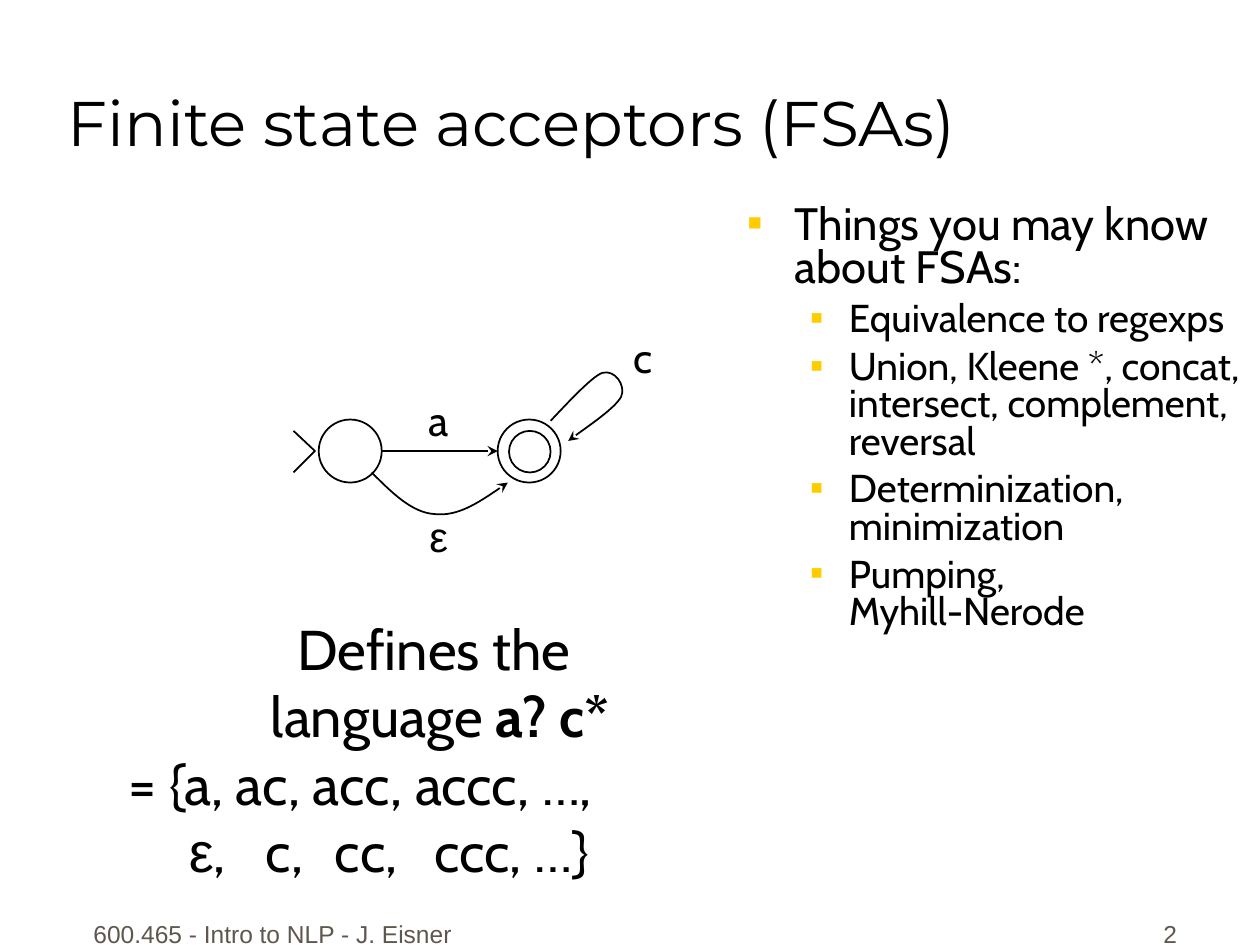
"""Builds a slide on finite state acceptors with an automaton diagram."""
import pptx
import pptx.dml.color
import pptx.enum.shapes
import pptx.enum.text
import pptx.oxml
import pptx.oxml.ns
import pptx.util

PX = 9144
BLACK, GOLD, GREY = "000000", "FFCC00", "5E574E"
ALIGN = pptx.enum.text.PP_ALIGN
ANCHOR = pptx.enum.text.MSO_ANCHOR


def color(hex_value):
    """Turn a hex string into a colour."""
    return pptx.dml.color.RGBColor.from_string(hex_value)


def add_xml(parent, tag, **attributes):
    """Append a DrawingML element with attributes to a parent."""
    child = pptx.oxml.parse_xml(f"<a:{tag} {pptx.oxml.ns.nsdecls('a')}/>")
    for name, value in attributes.items():
        child.set(name, str(value))
    parent.append(child)
    return child


class SlideBuilder:
    """Holds the style and the current slide."""

    def __init__(self, slide, font="Cabin", ink=BLACK):
        """Keep the slide, the body font and the ink colour."""
        self.shapes = slide.shapes
        self.font = font
        self.ink = ink

    def text_box(self, left, top, width, height, anchor=ANCHOR.TOP, wrap=True):
        """Add an empty text box and return its text frame."""
        box = self.shapes.add_textbox(*(v * PX for v in (left, top, width, height)))
        frame = box.text_frame
        frame.word_wrap = wrap
        frame.vertical_anchor = anchor
        return frame

    def paragraph(self, frame, align=ALIGN.LEFT, before=0, spacing=None):
        """Return the first unused paragraph of a text frame."""
        paragraph = frame.paragraphs[0]
        if paragraph.runs:
            paragraph = frame.add_paragraph()
        paragraph.alignment = align
        paragraph.space_before = pptx.util.Pt(before)
        if spacing:
            paragraph.line_spacing = spacing
        return paragraph

    def run(self, paragraph, words, size, font=None, ink=None, bold=None):
        """Add text to a paragraph, breaking lines at each newline."""
        for index, line in enumerate(words.split("\n")):
            if index:
                paragraph.add_line_break()
            run = paragraph.add_run()
            run.text = line
            run.font.size = pptx.util.Pt(size)
            run.font.name = font or self.font
            run.font.bold = bold
            run.font.color.rgb = color(ink or self.ink)

    def label(self, left, top, width, height, words, size, font=None, ink=None,
              align=ALIGN.CENTER, anchor=ANCHOR.MIDDLE, wrap=True, before=0):
        """Add a text box with a single run."""
        frame = self.text_box(left, top, width, height, anchor, wrap)
        self.run(self.paragraph(frame, align, before), words, size, font, ink)

    def bullet(self, frame, words, level, size, before, margin, hanging):
        """Add a bulleted paragraph."""
        paragraph = self.paragraph(frame, before=before, spacing=0.8)
        paragraph.level = level
        properties = paragraph._p.get_or_add_pPr()
        properties.set("marL", str(margin * PX))
        properties.set("indent", str(-hanging * PX))
        add_xml(add_xml(properties, "buClr"), "srgbClr", val=GOLD)
        add_xml(properties, "buFont", typeface="Arial")
        add_xml(properties, "buChar", char="▪")
        self.run(paragraph, words, size)

    def tab_stops(self, paragraph, stops):
        """Set left tab stops on a paragraph."""
        tabs = add_xml(paragraph._p.get_or_add_pPr(), "tabLst")
        for stop in stops:
            add_xml(tabs, "tab", pos=stop * PX, algn="l")

    def outline(self, shape, arrow=False):
        """Draw a thin line, with an arrowhead at its end if wanted."""
        shape.line.width = pptx.util.Pt(1)
        shape.line.color.rgb = color(self.ink)
        if arrow:
            add_xml(shape.line._get_or_add_ln(), "tailEnd", type="stealth")

    def circle(self, center_x, center_y, diameter):
        """Add an unfilled circle around a centre."""
        radius = diameter // 2
        state = self.shapes.add_shape(
            pptx.enum.shapes.MSO_SHAPE.OVAL, (center_x - radius) * PX,
            (center_y - radius) * PX, diameter * PX, diameter * PX)
        state.shadow.inherit = False
        state.fill.background()
        self.outline(state)

    def arrow(self, *ends):
        """Add a straight arrow."""
        connector = self.shapes.add_connector(
            pptx.enum.shapes.MSO_CONNECTOR.STRAIGHT, *(v * PX for v in ends))
        self.outline(connector, arrow=True)
        add_xml(connector._element.spPr, "effectLst")

    def open_path(self, points, curved=False):
        """Add an open polyline, or a Bezier arrow through its control points."""
        builder = self.shapes.build_freeform(*points[0], scale=PX)
        builder.add_line_segments(points[1:], close=False)
        outline = builder.convert_to_shape()
        outline.shadow.inherit = False
        outline.fill.background()
        self.outline(outline, arrow=curved)
        if curved:
            segments = list(outline._element.iter(pptx.oxml.ns.qn("a:lnTo")))
            track = segments[0].getparent()
            for start in range(0, len(segments), 3):
                curve = add_xml(track, "cubicBezTo")
                for segment in segments[start:start + 3]:
                    curve.append(segment[0])
                    track.remove(segment)


def main():
    """Build and save the slide."""
    deck = pptx.Presentation()
    deck.slide_width, deck.slide_height = 1000 * PX, 750 * PX
    page = SlideBuilder(deck.slides.add_slide(deck.slide_layouts[6]))

    page.label(44, 6, 897, 125, "Finite state acceptors (FSAs)", 36, "Montserrat",
               align=ALIGN.LEFT, anchor=ANCHOR.BOTTOM)

    facts = page.text_box(583, 158, 417, 456)
    page.bullet(facts, "Things you may know about FSAs:", 0, 25.9, 7, 38, 38)
    for fact in ("Equivalence to regexps",
                 "Union, Kleene *, concat, intersect, complement, reversal",
                 "Determinization, minimization",
                 "Pumping, \nMyhill-Nerode"):
        page.bullet(facts, fact, 1, 22.2, 6, 81, 31)

    start_x, final_x, state_y = 278, 420, 358
    for center_x, diameter in ((start_x, 50), (final_x, 50), (final_x, 33)):
        page.circle(center_x, state_y, diameter)
    page.arrow(start_x + 25, state_y, final_x - 25, state_y)
    page.open_path([(437, 334), (444, 327), (469, 299), (478, 296), (488, 293),
                    (497, 306), (493, 315), (488, 324), (460, 343), (451, 350)],
                   curved=True)
    page.open_path([(295, 375), (311, 391), (327, 407), (345, 408),
                    (363, 410), (383, 397), (403, 383)], curved=True)
    page.open_path([(233, 342), (250, 358), (233, 375)])
    for left, top, width, symbol, font in ((329, 308, 38, "a", "Cabin"),
                                           (492, 258, 36, "c", "Cabin"),
                                           (331, 400, 34, "ε", "Arial")):
        page.label(left, top, width, 50, symbol, 24, font, wrap=False)

    language = page.text_box(92, 483, 515, 224)
    definition = page.paragraph(language, ALIGN.CENTER)
    page.run(definition, "Defines the \nlanguage", 32)
    page.run(definition, " a? c*", 32, bold=True)
    strings = page.paragraph(language)
    page.tab_stops(strings, (48, 109, 164, 243))
    page.run(strings, "= {a, ac, acc, accc, …,\n\t", 32)
    page.run(strings, "ε", 32, "Arial")
    page.run(strings, ",\tc,\tcc,\tccc, …}", 32)

    for left, width, words, align in (
            (58, 317, "600.465 - Intro to NLP - J. Eisner", ALIGN.CENTER),
            (736, 208, "2", ALIGN.RIGHT)):
        page.label(left, 708, width, 50, words, 14, "Arial", GREY, align,
                   ANCHOR.BOTTOM, before=8.8)

    deck.save("out.pptx")


if __name__ == "__main__":
    main()
